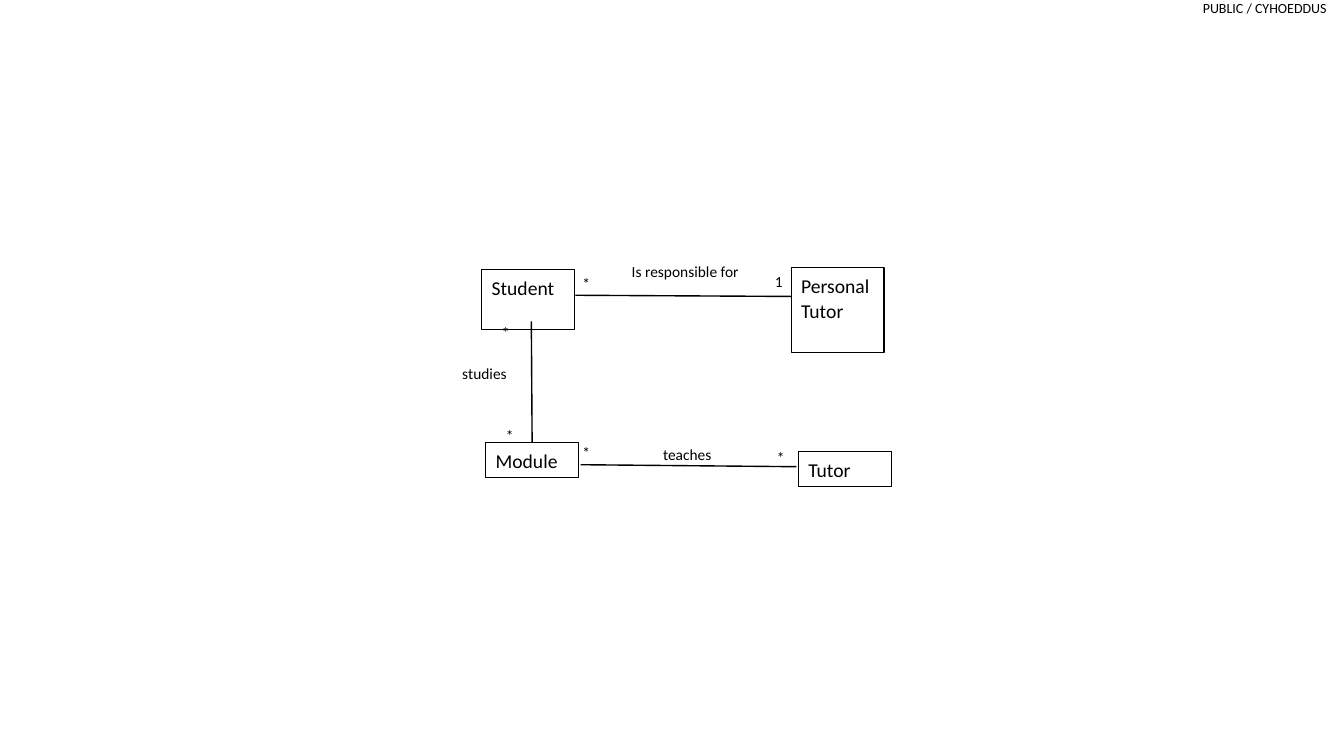
from lxml import etree
from pptx import Presentation
from pptx import util as u
from pptx.dml.color import RGBColor
from pptx.enum import shapes, text
from pptx.oxml.ns import qn

# Content: lengths in cm, boxes as left, top, width, height
BLACK, WHITE = "000000", "FFFFFF"
MARKING = "PUBLIC / CYHOEDDUS"
CLASS_WIDTH = 2.34
CLASSES = {  # name: left, top, height
    "Student": (12.14, 6.78, 1.52),
    "Personal Tutor": (19.94, 6.73, 2.16),
    "Tutor": (20.12, 11.38, 0.89),
    "Module": (12.24, 11.15, 0.89),
}
ASSOCIATIONS = [  # start x, y, end x, y, class joined at its top
    (14.5, 7.44, 19.94, 7.47, None),
    (14.63, 11.71, 20.07, 11.76, None),
    (13.39, 8.1, 13.36, 11.18, "Module"),
]
ROLES = [
    ("Is responsible for", 15.67, 6.45, 3.33, 1.24),
    ("teaches", 16.46, 11.05, 1.98, 1.24),
    ("studies", 11.4, 9.02, 1.98, 0.76),
]
MULTIPLICITIES = [
    ("*", 14.43, 6.76, 0.76, 0.81),
    ("1", 19.28, 6.71, 0.76, 0.81),
    ("*", 12.4, 7.98, 0.76, 0.81),
    ("*", 12.5, 10.59, 0.76, 0.81),
    ("*", 19.33, 11.13, 0.81, 0.69),
    ("*", 14.43, 11.02, 0.76, 0.76),
]


def colour(value):
    return RGBColor.from_string(value)


def cm(*lengths):
    return [u.Cm(length) for length in lengths]


def write(shape, words, size, grow=True):
    frame = shape.text_frame
    frame.word_wrap = True
    frame.vertical_anchor = text.MSO_ANCHOR.TOP
    frame.auto_size = (text.MSO_AUTO_SIZE.SHAPE_TO_FIT_TEXT if grow
                       else text.MSO_AUTO_SIZE.NONE)
    paragraph = frame.paragraphs[0]
    paragraph.alignment = text.PP_ALIGN.LEFT
    paragraph.line_spacing = 1.07
    paragraph.space_after = u.Pt(8)
    run = paragraph.add_run()
    run.text = words
    run.font.size = u.Pt(size)
    run.font.name = "Calibri"
    run.font.color.rgb = colour(BLACK)
    return frame


def add_label(slide, words, box, size=11, grow=True):
    return write(slide.shapes.add_textbox(*cm(*box)), words, size, grow)


def add_class(slide, name, left, top, height):
    box = slide.shapes.add_shape(shapes.MSO_SHAPE.RECTANGLE,
                                 *cm(left, top, CLASS_WIDTH, height))
    box.shadow.inherit = False
    box.fill.solid()
    box.fill.fore_color.rgb = colour(WHITE)
    box.line.color.rgb = colour(BLACK)
    box.line.width = u.Pt(0.75)
    write(box, name, 14)
    return box


def add_association(slide, ends, joined):
    line = slide.shapes.add_connector(shapes.MSO_CONNECTOR.STRAIGHT, *cm(*ends))
    line.line.color.rgb = colour(BLACK)
    line.line.width = u.Pt(1)
    etree.SubElement(line._element.spPr, qn("a:effectLst"))
    if joined is not None:
        line.end_connect(joined, 0)


def main():
    deck = Presentation()
    deck.slide_width, deck.slide_height = cm(33.87, 19.05)
    slide = deck.slides.add_slide(deck.slide_layouts[6])

    # Marking in the top right corner
    marking = add_label(slide, MARKING, (30.23, 0, 3.2, 0.84), size=10)
    marking.margin_left = marking.margin_right = 0
    marking.margin_top = marking.margin_bottom = 0
    marking.paragraphs[0].alignment = text.PP_ALIGN.RIGHT
    marking.paragraphs[0].line_spacing = 1.0
    marking.paragraphs[0].space_after = u.Pt(0)

    # Classes and the associations between them
    classes = {name: add_class(slide, name, *place)
               for name, place in CLASSES.items()}
    for *ends, joined in ASSOCIATIONS:
        add_association(slide, ends, classes.get(joined))

    # Names and multiplicities of the associations
    for role, *box in ROLES:
        add_label(slide, role, box)
    for multiplicity, *box in MULTIPLICITIES:
        add_label(slide, multiplicity, box, grow=False)

    deck.save("out.pptx")


if __name__ == "__main__":
    main()
